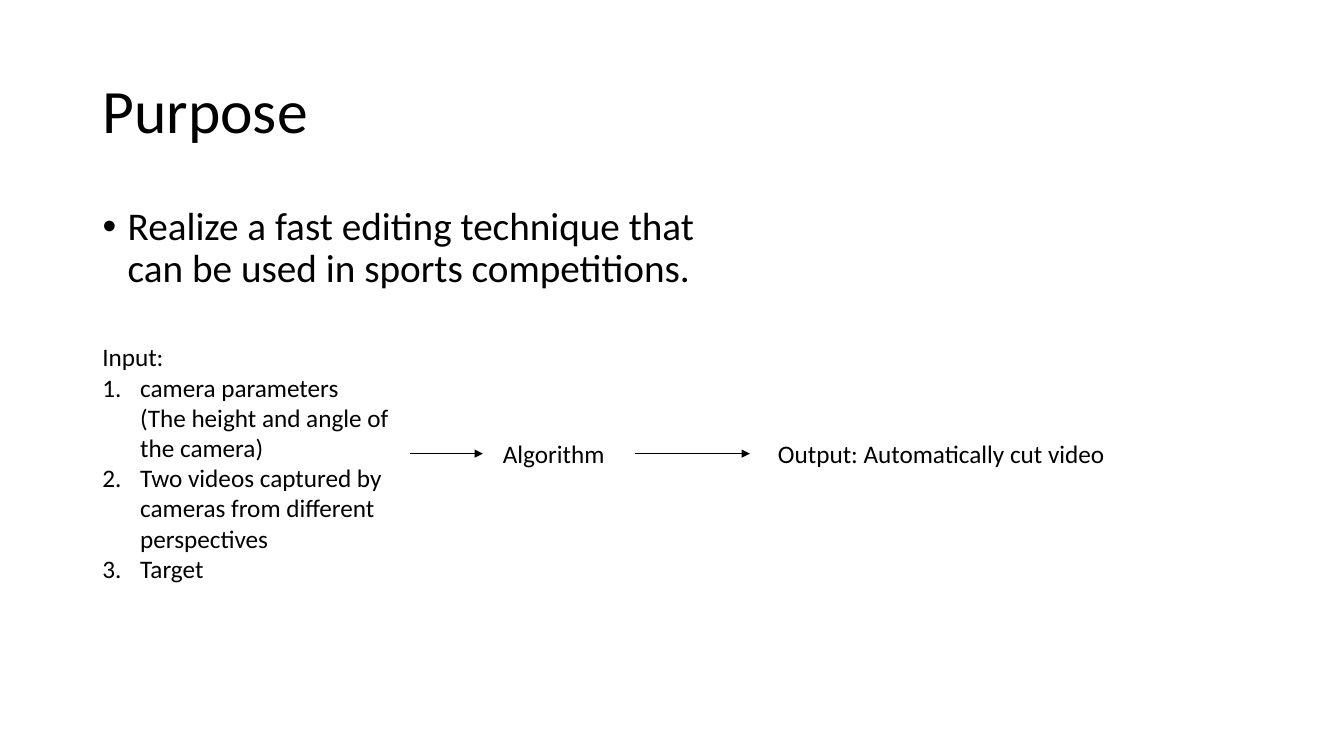
from dataclasses import dataclass

from lxml import etree
from pptx import Presentation
from pptx.dml.color import RGBColor
from pptx.enum.shapes import MSO_CONNECTOR
from pptx.enum.text import MSO_ANCHOR, MSO_AUTO_SIZE, PP_ALIGN
from pptx.oxml.ns import qn
from pptx.util import Inches, Pt

STRAIGHT = MSO_CONNECTOR.STRAIGHT
LEFT = PP_ALIGN.LEFT
MIDDLE = MSO_ANCHOR.MIDDLE
NO_AUTOFIT = MSO_AUTO_SIZE.NONE
GROW = MSO_AUTO_SIZE.SHAPE_TO_FIT_TEXT


@dataclass(frozen=True)
class Theme:
    font: str = "Calibri"
    bullet_font: str = "Arial"
    ink: RGBColor = RGBColor(0, 0, 0)
    title: Pt = Pt(44)
    body: Pt = Pt(28)
    label: Pt = Pt(18)
    arrow: Pt = Pt(0.5)


theme = Theme()
presentation = Presentation()
presentation.slide_width = Inches(13.33)
presentation.slide_height = Inches(7.5)
slide = presentation.slides.add_slide(presentation.slide_layouts[1])

# One column is 1 % of the slide's width, one row 1 % of its height
column = presentation.slide_width / 100
row = presentation.slide_height / 100
margin = 6.88
flow_row = 60
label_height = 5.33


def fill_text(shape, box, lines, size, autofit):
    """Place a shape on the grid (left, top, width, height) and set its text."""
    left, top, width, height = box
    shape.left, shape.width = int(left * column), int(width * column)
    shape.top, shape.height = int(top * row), int(height * row)
    frame = shape.text_frame
    frame.text = "\n".join(lines)
    frame.word_wrap = True
    frame.auto_size = autofit
    for paragraph in frame.paragraphs:
        paragraph.alignment = LEFT
        for run in paragraph.runs:
            run.font.name = theme.font
            run.font.size = size
            run.font.color.rgb = theme.ink
    return frame


def add_marker(paragraph, indent, tag, font, **attributes):
    """Give a paragraph a hanging indent and a bullet or number."""
    properties = paragraph._p.get_or_add_pPr()
    properties.set("marL", str(indent))
    properties.set("indent", str(-indent))
    etree.SubElement(properties, qn("a:buFont"), typeface=font)
    etree.SubElement(properties, qn("a:" + tag), **attributes)


# Title and statement
title = fill_text(slide.shapes.title, (margin, 5.33, 86.25, 19.33),
                  ["Purpose"], theme.title, NO_AUTOFIT)
title.vertical_anchor = MIDDLE
title.paragraphs[0].line_spacing = 0.9

body = fill_text(
    slide.placeholders[1], (margin, 26.67, 46.05, 13.2),
    ["Realize a fast editing technique that can be used in sports competitions."],
    theme.body, NO_AUTOFIT)
statement = body.paragraphs[0]
statement.line_spacing = 0.9
statement.space_before = Pt(10)
add_marker(statement, Inches(0.25), "buChar", theme.bullet_font, char="•")

# Input, algorithm and output
input_lines = [
    "Input:",
    "camera parameters (The height and angle of the camera)",
    "Two videos captured by cameras from different perspectives",
    "Target",
]
label_top = flow_row - label_height / 2
flow_texts = [
    ((margin, 44.53, 22.8, 37.73), input_lines),
    ((36.68, label_top, 9.15, label_height), ["Algorithm"]),
    ((57.15, label_top, 25.95, label_height), ["Output: Automatically cut video"]),
]
for box, lines in flow_texts:
    text_box = slide.shapes.add_textbox(0, 0, 0, 0)
    frame = fill_text(text_box, box, lines, theme.label, GROW)
    for paragraph in frame.paragraphs[1:]:
        add_marker(paragraph, Pt(27), "buAutoNum", theme.font, type="arabicPeriod")

for start, end in [(30.53, 35.93), (47.25, 55.8)]:
    arrow = slide.shapes.add_connector(
        STRAIGHT, int(start * column), int(flow_row * row),
        int(end * column), int(flow_row * row))
    arrow.line.color.rgb = theme.ink
    arrow.line.width = theme.arrow
    etree.SubElement(arrow.line._get_or_add_ln(), qn("a:tailEnd"), type="triangle")
    etree.SubElement(arrow._element.spPr, qn("a:effectLst"))

presentation.save("out.pptx")
